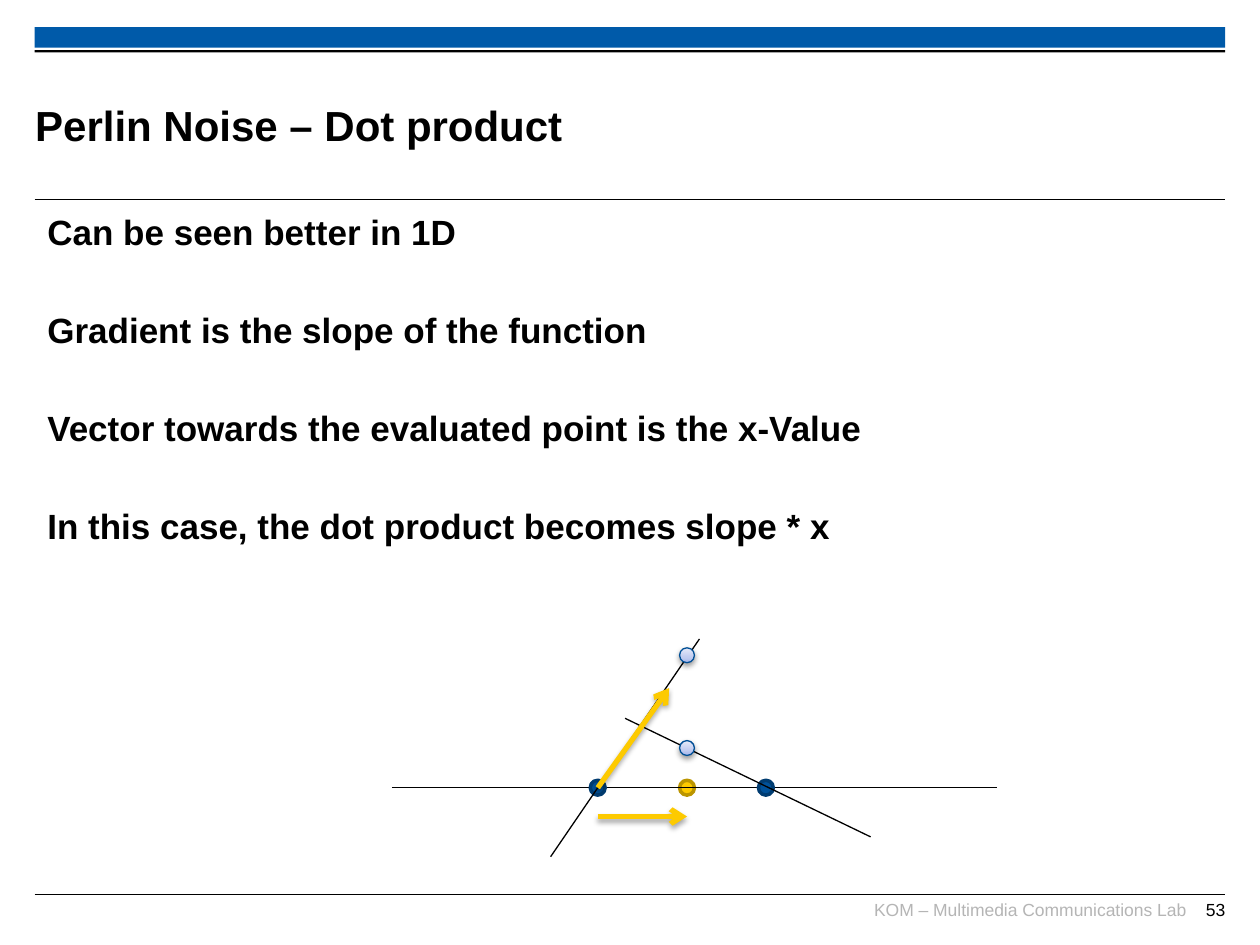
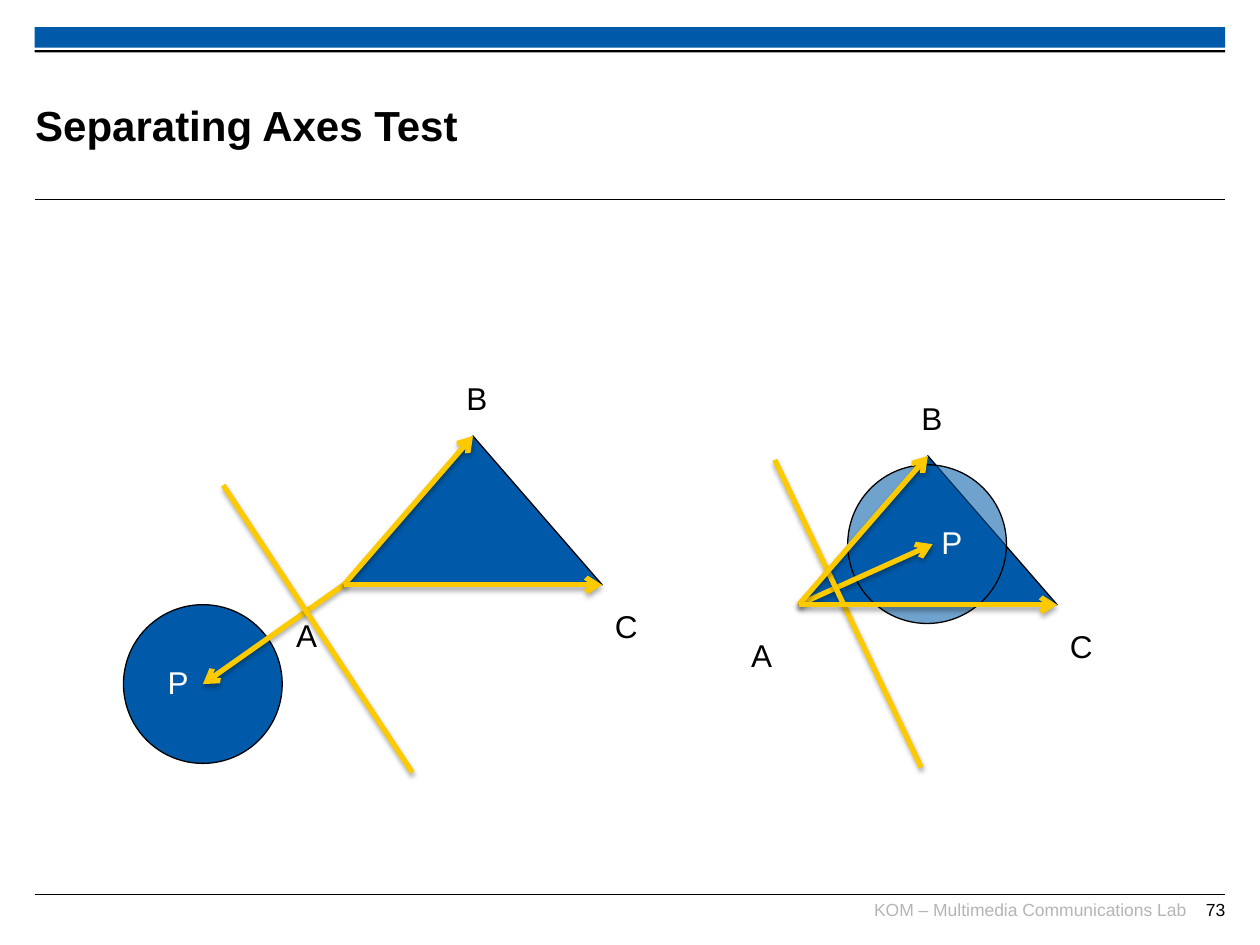
from pptx import Presentation
from pptx.dml.color import RGBColor as Rgb
from pptx.enum.shapes import MSO_CONNECTOR as Conn, MSO_SHAPE as Form
from pptx.enum.text import MSO_ANCHOR as Anchor, MSO_AUTO_SIZE as Auto, PP_ALIGN as Align
from pptx.oxml import parse_xml
from pptx.oxml.ns import nsdecls, qn
from pptx.util import Cm, Pt

HUES = {
    "black": "000000", "white": "FFFFFF", "grey": "B5B5B5", "blue": "005AA9",
    "node": "005199", "rim": "003C71", "gold": "FDCA00", "ochre": "BB9500",
    "edge": "004F96", "low": "A5B6EB", "mid": "C1CCF0", "high": "E7EBFA",
}
FONT = "Arial"
FOOT = "KOM – Multimedia Communications Lab"

NOISE = {
    "title": "Perlin Noise – Dot product",
    "page": "53",
    "points": [
        "Can be seen better in 1D",
        "Gradient is the slope of the function",
        "Vector towards the evaluated point is the x-Value",
        "In this case, the dot product becomes slope * x",
    ],
}
LEFT, MID, RIGHT, BASE = 12.05, 13.85, 15.44, 15.88
AXIS = ((7.9, BASE), (20.09, BASE))
SLOPES = [((11.1, 17.27), (14.1, 12.88)), ((12.6, 14.48), (17.55, 16.87))]
HITS = [15.08, 13.21]
VECTORS = [((LEFT, 16.46), (MID, 16.46)), ((LEFT, BASE), (13.49, 13.87))]

AXES = {"title": "Separating Axes Test", "page": "73"}
WIDE, HIGH = 5.21, 3.0
MARKS = [("A", -1.23, 0.58), ("B", 2.2, -4.2), ("C", WIDE, 0.39)]
SCENES = [
    {"tip": (16.1, 12.19), "ball": (18.69, 10.97), "aim": (18.8, 10.97),
     "split": ((15.62, 9.27), (18.57, 15.47)), "alpha": 56, "shift": 0.5},
    {"tip": (6.93, 11.79), "ball": (4.09, 13.79), "aim": (4.09, 13.79),
     "split": ((4.5, 9.78), (8.31, 15.57)), "alpha": None, "shift": -0.5},
]


def hue(name):
    return Rgb.from_string(HUES[name])


def place(shape, at):
    shape.left, shape.top, shape.width, shape.height = map(Cm, at)


def write(shape, lines, size=18, color="black", bold=False, align=Align.LEFT,
          anchor=Anchor.TOP, inset=None, wrap=True, gap=0, hang=None, lead=None,
          shift=0):
    frame = shape.text_frame
    frame.auto_size = Auto.NONE
    frame.word_wrap = wrap
    frame.vertical_anchor = anchor
    if inset is not None:
        frame.margin_left = Cm(inset + max(2 * shift, 0))
        frame.margin_right = Cm(inset + max(-2 * shift, 0))
        frame.margin_top = frame.margin_bottom = Cm(inset)
    for i, line in enumerate(lines):
        para = frame.add_paragraph() if i else frame.paragraphs[0]
        if hang:
            props = para._p.get_or_add_pPr()
            props.set("marL", str(Cm(hang)))
            props.set("indent", str(-Cm(hang)))
            props.append(parse_xml(f"<a:buNone {nsdecls('a')}/>"))
        para.alignment = align
        para.space_before = Pt(gap if i else 0)
        if lead:
            para.line_spacing = lead
        run = para.add_run()
        run.text = line
        font = run.font
        font.name, font.size, font.bold = FONT, Pt(size), bold
        font.color.rgb = hue(color)


def label(slide, at, text, **style):
    box = slide.shapes.add_textbox(*map(Cm, at))
    write(box, [text], **style)


def cast(shape, alpha=None, dist=1.8):
    shade = ""
    if alpha:
        shade = (f'<a:outerShdw blurRad="{Pt(3.1)}" dist="{Pt(dist)}" dir="5400000" '
                 f'rotWithShape="0"><a:srgbClr val="{HUES["black"]}">'
                 f'<a:alpha val="{alpha * 1000}"/></a:srgbClr></a:outerShdw>')
    shape.element.spPr.append(
        parse_xml(f"<a:effectLst {nsdecls('a')}>{shade}</a:effectLst>"))


def blend(shape):
    stops = "".join(
        f'<a:gs pos="{pos * 1000}"><a:srgbClr val="{HUES[name]}"/></a:gs>'
        for pos, name in [(0, "low"), (35, "mid"), (100, "high")])
    shape.element.spPr.insert(2, parse_xml(
        f'<a:gradFill {nsdecls("a")} rotWithShape="1"><a:gsLst>{stops}</a:gsLst>'
        '<a:lin ang="16200000" scaled="0"/></a:gradFill>'))


def draw(slide, form, at, fill=None, line=None, width=0.75, alpha=None, shade=None):
    shape = slide.shapes.add_shape(form, *map(Cm, at))
    if fill:
        shape.fill.solid()
        shape.fill.fore_color.rgb = hue(fill)
        if alpha:
            tone = shape.element.spPr.find(qn("a:solidFill"))[0]
            tone.append(parse_xml(f'<a:alpha {nsdecls("a")} val="{alpha * 1000}"/>'))
    else:
        blend(shape)
    if line:
        shape.line.color.rgb = hue(line)
        shape.line.width = Pt(width)
    else:
        shape.line.fill.background()
    cast(shape, shade, 1.6)
    return shape


def disc(slide, spot, size, *look, **more):
    x, y = spot
    return draw(slide, Form.OVAL, (x - size / 2, y - size / 2, size, size), *look, **more)


def rule(slide, start, end, color="black", width=0.75, shade=None, arrow=False):
    line = slide.shapes.add_connector(Conn.STRAIGHT, *map(Cm, start + end))
    line.line.color.rgb = hue(color)
    line.line.width = Pt(width)
    if arrow:
        line.line._get_or_add_ln().append(
            parse_xml(f'<a:tailEnd {nsdecls("a")} type="arrow"/>'))
    cast(line, shade)


def beam(slide, start, end, arrow=True):
    rule(slide, start, end, "gold", 3, 35, arrow)


def start(deck, layout, data):
    slide = deck.slides.add_slide(deck.slide_layouts[layout])
    rule(slide, (0.7, 18.03), (24.7, 18.03), width=0.6)
    draw(slide, Form.RECTANGLE, (0.7, 0.55, 24, 0.41), "blue")
    rule(slide, (0.7, 4.03), (24.7, 4.03), width=0.6)
    draw(slide, Form.RECTANGLE, (0.7, 1.01, 24, 0.05), "black")
    small = dict(size=10, align=Align.RIGHT, inset=0)
    label(slide, (17.5, 18.12, 6.41, 0.64), FOOT, color="grey", **small)
    label(slide, (23.6, 18.12, 1.1, 0.64), data["page"], **small)
    title = slide.shapes.title
    place(title, (0.71, 1.35, 19.1, 2.34))
    write(title, [data["title"]], size=24, bold=True, anchor=Anchor.MIDDLE, inset=0)
    return slide


def noise(deck):
    slide = start(deck, 1, NOISE)
    body = slide.placeholders[1]
    place(body, (0.7, 4.11, 24, 13.79))
    write(body, NOISE["points"], size=20, bold=True, gap=32, hang=0.5)
    disc(slide, (MID, BASE), 0.3, "gold", "ochre", 2)
    rule(slide, *AXIS)
    for x in (LEFT, RIGHT):
        disc(slide, (x, BASE), 0.3, "node", "rim", 2)
    for ends in SLOPES:
        rule(slide, *ends)
    for y in HITS:
        disc(slide, (MID, y), 0.3, line="edge", shade=38)
    for ends in VECTORS:
        beam(slide, *ends)


def axes(deck):
    slide = start(deck, 5, AXES)
    mark = dict(align=Align.CENTER, lead=0.93)
    for scene in SCENES:
        tip = x, y = scene["tip"]
        draw(slide, Form.ISOSCELES_TRIANGLE, (x, y - HIGH, WIDE, HIGH), "blue", "black")
        for name, dx, dy in MARKS:
            label(slide, (x + dx, y + dy, 0.97, 0.99), name, wrap=False, **mark)
        ball = disc(slide, scene["ball"], 3.2, "blue", "black", alpha=scene["alpha"])
        write(ball, ["P"], color="white", anchor=Anchor.MIDDLE, inset=0,
              shift=scene["shift"], **mark)
        beam(slide, tip, scene["aim"])
        beam(slide, *scene["split"], arrow=False)
        beam(slide, tip, (x + WIDE / 2, y - HIGH))
        beam(slide, tip, (x + WIDE, y))


def main():
    deck = Presentation()
    deck.slide_width, deck.slide_height = Cm(25.4), Cm(19.05)
    noise(deck)
    axes(deck)
    deck.save("out.pptx")


if __name__ == "__main__":
    main()
